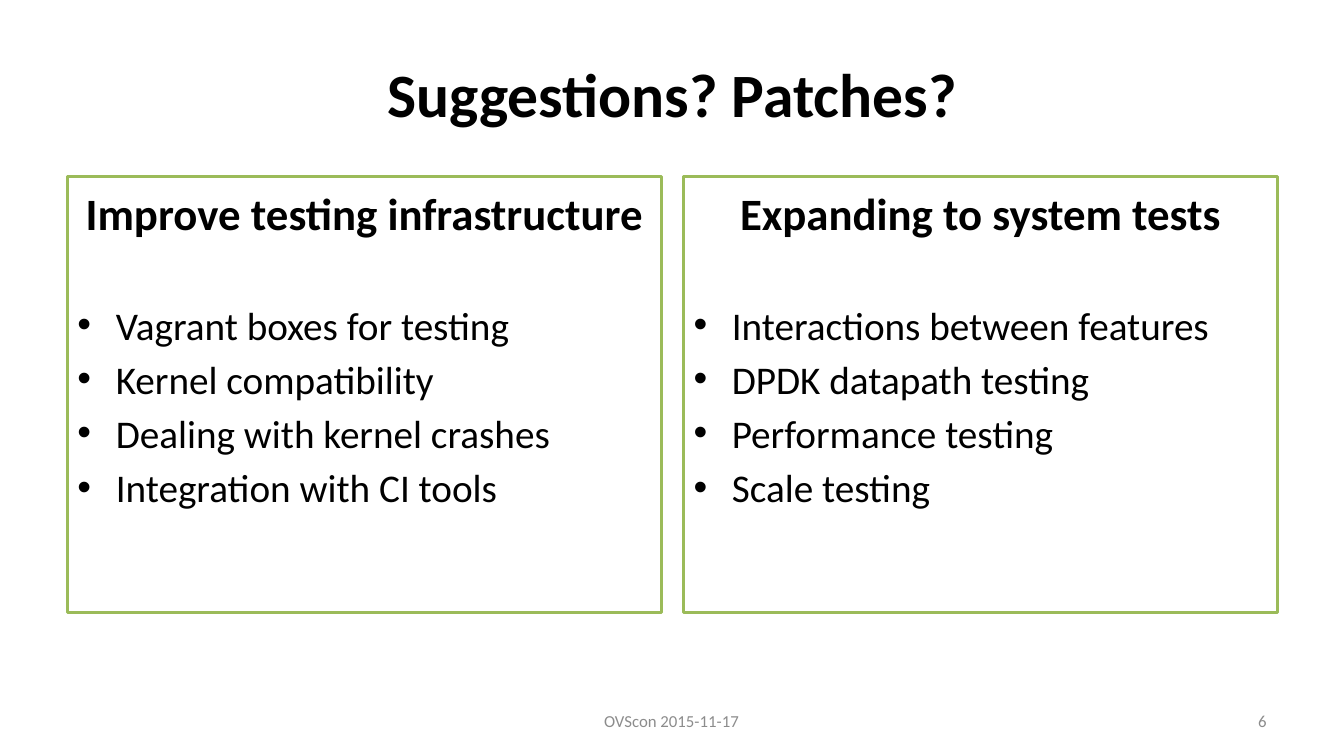
from dataclasses import dataclass

from lxml import etree
from pptx import Presentation
from pptx.dml.color import RGBColor
from pptx.enum.shapes import MSO_SHAPE
from pptx.enum.text import MSO_ANCHOR, PP_ALIGN
from pptx.oxml.ns import qn
from pptx.shapes.autoshape import Shape
from pptx.slide import Slide
from pptx.text.text import _Paragraph
from pptx.util import Inches, Pt

BLACK = RGBColor(0x00, 0x00, 0x00)
WHITE = RGBColor(0xFF, 0xFF, 0xFF)
GRAY = RGBColor(0x8C, 0x8C, 0x8C)
GREEN = RGBColor(0x9B, 0xBB, 0x59)
RECT = MSO_SHAPE.RECTANGLE
TOP, MIDDLE = MSO_ANCHOR.TOP, MSO_ANCHOR.MIDDLE
LEFT, CENTER, RIGHT = PP_ALIGN.LEFT, PP_ALIGN.CENTER, PP_ALIGN.RIGHT
FONT = "Calibri"
EDGE = 0.67
STEP = 6.11


@dataclass
class Label:
    text: str
    left: float
    top: float
    width: float
    height: float
    size: int
    color: RGBColor
    align: PP_ALIGN
    bold: bool = False


@dataclass
class Panel:
    title: str
    items: list[str]


LABELS = [
    Label("Suggestions? Patches?", EDGE, 0.3, 12, 1.25, 44, BLACK, CENTER, True),
    Label("6", 9.55, 6.95, 3.11, 0.4, 12, GRAY, RIGHT),
    Label("OVScon 2015-11-17", 4.55, 6.95, 4.22, 0.4, 12, GRAY, CENTER),
]
PANELS = [
    Panel("Improve testing infrastructure", [
        "Vagrant boxes for testing",
        "Kernel compatibility",
        "Dealing with kernel crashes",
        "Integration with CI tools",
    ]),
    Panel("Expanding to system tests", [
        "Interactions between features",
        "DPDK datapath testing",
        "Performance testing",
        "Scale testing",
    ]),
]


def add_run(para: _Paragraph, text: str, size: int, color: RGBColor,
            align: PP_ALIGN, bold: bool = False) -> None:
    para.alignment = align
    run = para.add_run()
    run.text = text
    font = run.font
    font.name = FONT
    font.size = Pt(size)
    font.bold = bold
    font.color.rgb = color


def add_bullet(para: _Paragraph) -> None:
    props = para._p.get_or_add_pPr()
    props.set("marL", str(Inches(0.38)))
    props.set("indent", str(Inches(-0.38)))
    etree.SubElement(props, qn("a:buFont")).set("typeface", "Arial")
    etree.SubElement(props, qn("a:buChar")).set("char", "•")


def draw_label(slide: Slide, label: Label) -> None:
    box = slide.shapes.add_textbox(Inches(label.left), Inches(label.top),
                                   Inches(label.width), Inches(label.height))
    frame = box.text_frame
    frame.word_wrap = True
    frame.vertical_anchor = MIDDLE
    add_run(frame.paragraphs[0], label.text, label.size, label.color,
            label.align, label.bold)


def draw_panel(slide: Slide, panel: Panel, left: float) -> None:
    box: Shape = slide.shapes.add_shape(RECT, Inches(left), Inches(1.75),
                                        Inches(5.89), Inches(4.33))
    box.shadow.inherit = False
    box.fill.solid()
    box.fill.fore_color.rgb = WHITE
    box.line.color.rgb = GREEN
    box.line.width = Pt(2)
    frame = box.text_frame
    frame.word_wrap = True
    frame.vertical_anchor = TOP
    frame.margin_top = Inches(0.09)
    add_run(frame.paragraphs[0], panel.title, 32, BLACK, CENTER, True)
    for index, item in enumerate(panel.items):
        para = frame.add_paragraph()
        add_bullet(para)
        para.space_before = Pt(5 if index else 44)
        add_run(para, item, 28, BLACK, LEFT)


def main() -> None:
    deck = Presentation()
    deck.slide_width = Inches(13.33)
    deck.slide_height = Inches(7.5)
    slide = deck.slides.add_slide(deck.slide_layouts[6])
    for label in LABELS:
        draw_label(slide, label)
    for index, panel in enumerate(PANELS):
        draw_panel(slide, panel, EDGE + index * STEP)
    deck.save("out.pptx")


if __name__ == "__main__":
    main()
